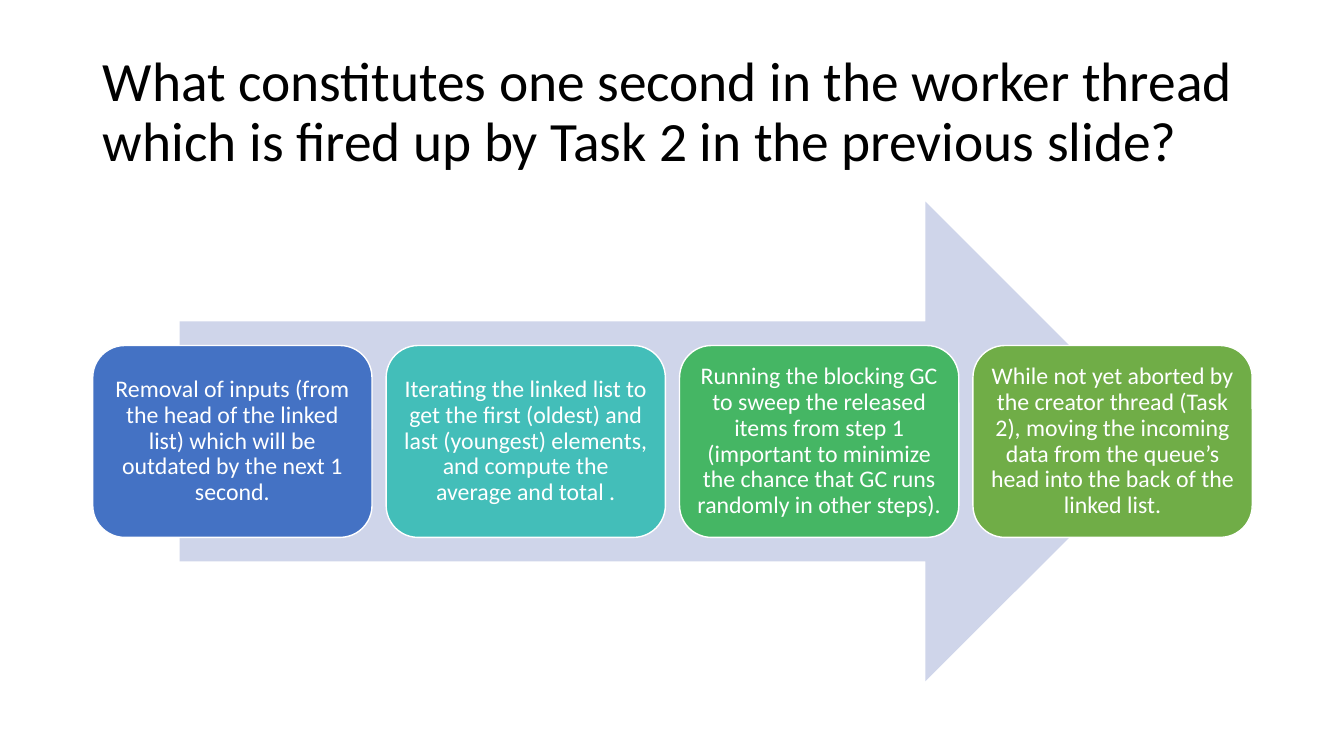
from pptx import Presentation
from pptx.dml.color import RGBColor
from pptx.enum.shapes import MSO_SHAPE
from pptx.enum.text import MSO_ANCHOR, MSO_AUTO_SIZE, PP_ALIGN
from pptx.util import Inches, Pt

COLORS = {
    "ink": "000000", "white": "FFFFFF", "arrow": "CFD5EA",
    "blue": "4472C4", "teal": "43BEB9", "green": "45B664", "olive": "70AD47",
}
TITLE = ("What constitutes one second in the worker thread "
         "which is fired up by Task 2 in the previous slide?")
STEPS = [
    ("blue", "Removal of inputs (from the head of the linked list) "
             "which will be outdated by the next 1 second."),
    ("teal", "Iterating the linked list to get the first (oldest) and "
             "last (youngest) elements, and compute the average and total ."),
    ("green", "Running the blocking GC to sweep the released items from step 1 "
              "(important to minimize the chance that GC runs randomly in other steps)."),
    ("olive", "While not yet aborted by the creator thread (Task 2), moving the "
              "incoming data from the queue\u2019s head into the back of the linked list."),
]


def color(name):
    return RGBColor.from_string(COLORS[name])


def apply(item, values):
    for key, value in values.items():
        setattr(item, key, value)


def write(shape, text, size, ink, align, inset):
    frame = shape.text_frame
    frame.text = text
    apply(frame, {
        "word_wrap": True, "auto_size": MSO_AUTO_SIZE.NONE,
        "vertical_anchor": MSO_ANCHOR.MIDDLE,
        "margin_left": Inches(inset), "margin_right": Inches(inset),
        "margin_top": Inches(inset), "margin_bottom": Inches(inset),
    })
    line = frame.paragraphs[0]
    apply(line, {"alignment": align, "line_spacing": 0.9})
    apply(line.runs[0].font, {"name": "Calibri", "size": Pt(size)})
    line.runs[0].font.color.rgb = color(ink)


def add_block(slide, kind, box, fill):
    shape = slide.shapes.add_shape(kind, *map(Inches, box))
    shape.shadow.inherit = False
    shape.fill.solid()
    shape.fill.fore_color.rgb = color(fill)
    shape.line.fill.background()
    return shape


def add_title(slide, box):
    title = slide.shapes.title
    apply(title, dict(zip(("left", "top", "width", "height"), map(Inches, box))))
    write(title, TITLE, 39.6, "ink", PP_ALIGN.LEFT, 0.1)


def add_process(slide, box):
    left, top, width, height = box
    inset = width * 0.075
    add_block(slide, MSO_SHAPE.RIGHT_ARROW,
              (left + inset, top, width - 2 * inset, height), "arrow")
    card, tall = 2.77, height * 0.4
    step = (width - card) / (len(STEPS) - 1)
    for i, (fill, text) in enumerate(STEPS):
        shape = add_block(slide, MSO_SHAPE.ROUNDED_RECTANGLE,
                          (left + i * step, top + (height - tall) / 2, card, tall), fill)
        shape.line.color.rgb = color("white")
        shape.line.width = Pt(1)
        write(shape, text, 17, "white", PP_ALIGN.CENTER, 0.07)


deck = Presentation()
apply(deck, {"slide_width": Inches(13.33), "slide_height": Inches(7.5)})
slide = deck.slides.add_slide(deck.slide_layouts[5])
add_title(slide, (0.92, 0.4, 11.5, 1.45))
add_process(slide, (0.92, 2, 11.5, 4.76))
deck.save("out.pptx")
